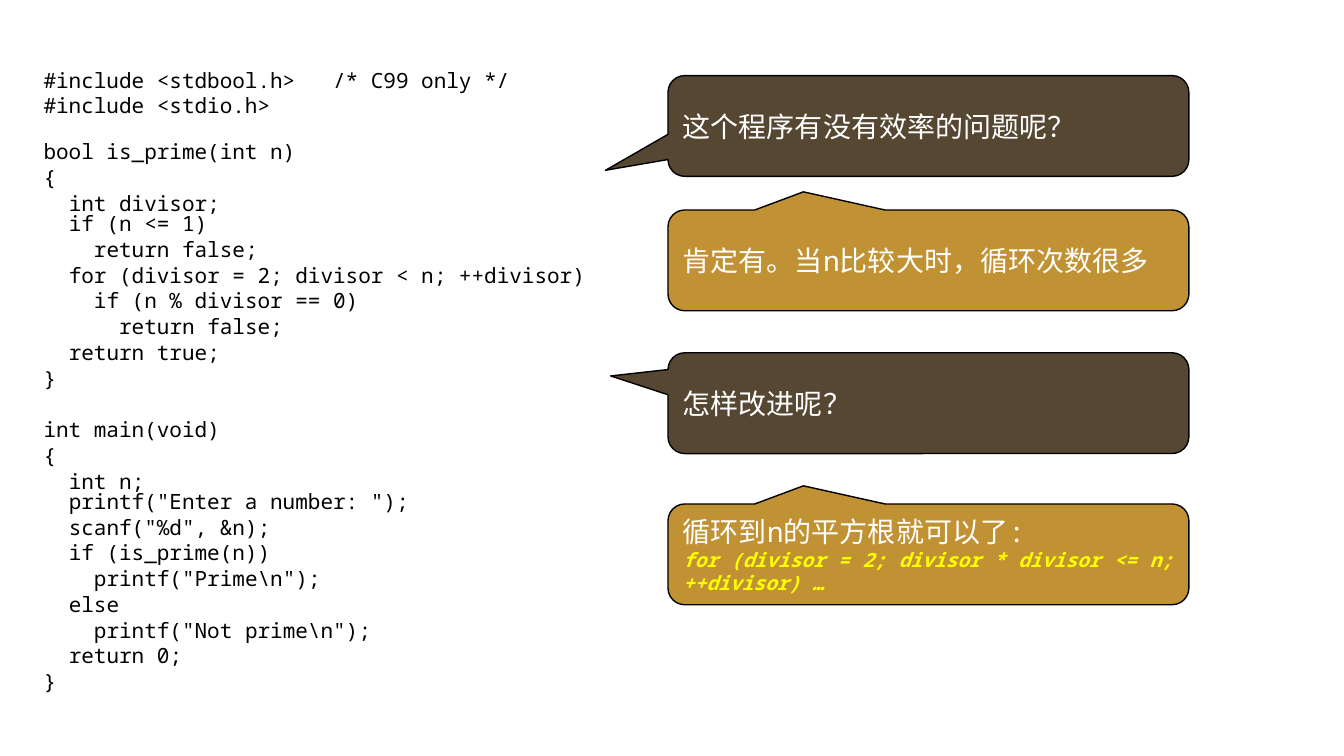
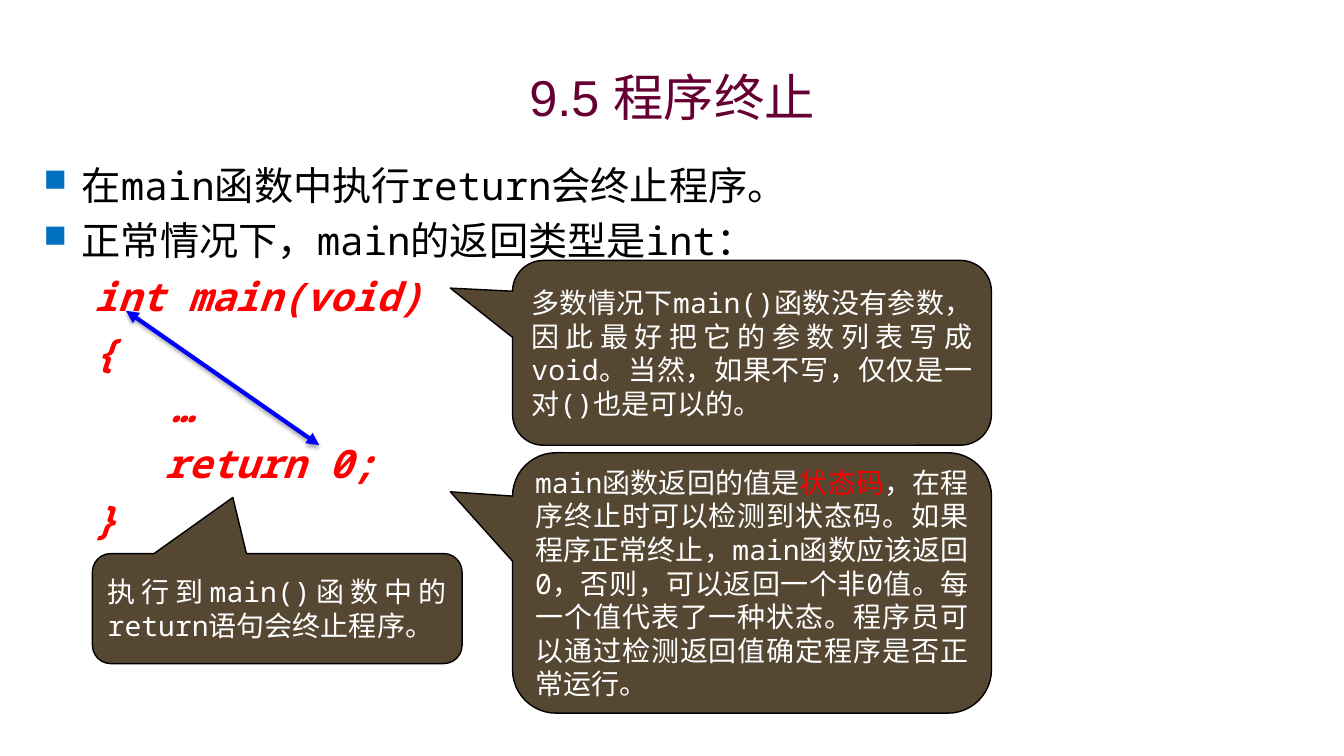
import pptx
import pptx.dml.color
import pptx.enum.lang
import pptx.enum.shapes
import pptx.enum.text
import pptx.oxml
import pptx.oxml.ns
import pptx.util

ALIGN = pptx.enum.text.PP_ALIGN
ANCHOR = pptx.enum.text.MSO_ANCHOR
MONO, SANS = "Noto Sans Mono", "Arial"
BROWN, GOLD = "2C1A00", "B27700"
BLACK, WHITE, RED, YELLOW, BLUE = "000000", "FFFFFF", "FF0000", "FFFF00", "0000FF"
PLUM, BULLET = "660033", "0070C0"


def rgb(value):
    return pptx.dml.color.RGBColor.from_string(value)


def element(markup):
    head, tail = markup.split(" ", 1)
    return pptx.oxml.parse_xml(f"{head} {pptx.oxml.ns.nsdecls('a')} {tail}")


class Lecture:
    """Hold the style and current slide; lengths are cells of a 160 by 90 grid."""

    def __init__(self):
        self.deck = pptx.Presentation()
        self.deck.slide_width = pptx.util.Inches(13.33)
        self.deck.slide_height = pptx.util.Inches(7.5)
        self.slide = None

    def cells(self, *counts):
        return [pptx.util.Inches(count / 12) for count in counts]

    def new_slide(self):
        self.slide = self.deck.slides.add_slide(self.deck.slide_layouts[6])

    def add_text(self, paragraph, text, size, color, font=MONO, strong=False):
        run = paragraph.add_run()
        run.text = text
        run.font.size = pptx.util.Pt(size)
        run.font.name = font
        run.font.color.rgb = rgb(color)
        run.font.bold = run.font.italic = strong
        run.font.language_id = pptx.enum.lang.MSO_LANGUAGE_ID.SIMPLIFIED_CHINESE

    def box(self, *area):
        frame = self.slide.shapes.add_textbox(*self.cells(*area)).text_frame
        frame.word_wrap = True
        return frame

    def next_paragraph(self, frame):
        first = frame.paragraphs[0]
        return frame.add_paragraph() if first.runs else first

    def line(self, frame, text, size, color, margin=0, hang=0, spacing=1.0, before=0, strong=False):
        paragraph = self.next_paragraph(frame)
        paragraph.line_spacing = spacing
        paragraph.space_before = pptx.util.Pt(before)
        properties = paragraph._p.get_or_add_pPr()
        properties.set("marL", str(pptx.util.Inches(margin)))
        properties.set("indent", str(-pptx.util.Inches(hang)))
        self.add_text(paragraph, text, size, color, strong=strong)
        return properties

    def title(self, text):
        frame = self.box(12, 7, 136, 9)
        frame.vertical_anchor = ANCHOR.MIDDLE
        frame.paragraphs[0].alignment = ALIGN.CENTER
        self.add_text(frame.paragraphs[0], text, 36, PLUM, SANS)

    def listing(self, lines):
        frame = self.box(4, 8, 152, 78)
        for depth, before, text in lines:
            self.line(frame, text, 15, BLACK, depth / 4, spacing=0.8, before=before)

    def points(self, bullets, code):
        frame = self.box(4, 18, 152, 68)
        for text in bullets:
            properties = self.line(frame, text, 28, BLACK, 0.38, 0.38, 1.1, 2.8)
            for markup in (
                f'<a:buClr ><a:srgbClr val="{BULLET}"/></a:buClr>',
                '<a:buSzPct val="80000"/>',
                '<a:buChar char="■"/>',
            ):
                properties.append(element(markup))
        for margin, text in code:
            self.line(frame, text, 28, RED, margin, spacing=1.1, before=2.8, strong=True)

    def callout(self, area, tip, fill, *paragraphs):
        kind = pptx.enum.shapes.MSO_SHAPE.ROUNDED_RECTANGULAR_CALLOUT
        bubble = self.slide.shapes.add_shape(kind, *self.cells(*area))
        bubble.shadow.inherit = False
        bubble.adjustments[0], bubble.adjustments[1] = tip
        bubble.fill.solid()
        bubble.fill.fore_color.rgb = rgb(fill)
        solid = bubble._element.spPr.find(pptx.oxml.ns.qn("a:solidFill"))
        solid[0].append(element('<a:alpha val="80000"/>'))
        bubble.line.color.rgb = rgb(BLACK)
        bubble.line.width = pptx.util.Pt(1)
        frame = bubble.text_frame
        frame.word_wrap = True
        frame.vertical_anchor = ANCHOR.MIDDLE
        for runs in paragraphs:
            paragraph = self.next_paragraph(frame)
            paragraph.alignment = ALIGN.JUSTIFY
            for text, size, color, strong in runs:
                self.add_text(paragraph, text, size, color, strong=strong)

    def double_arrow(self, *ends):
        kind = pptx.enum.shapes.MSO_CONNECTOR.STRAIGHT
        arrow = self.slide.shapes.add_connector(kind, *self.cells(*ends))
        arrow.line.color.rgb = rgb(BLUE)
        arrow.line.width = pptx.util.Pt(3)
        outline = arrow.line._get_or_add_ln()
        for end in ("headEnd", "tailEnd"):
            outline.append(element(f'<a:{end} type="triangle"/>'))
        arrow._element.spPr.append(element(
            '<a:effectLst ><a:outerShdw blurRad="39370" dist="22860" dir="5400000" rotWithShape="0">'
            f'<a:srgbClr val="{BLACK}"><a:alpha val="35000"/></a:srgbClr>'
            '</a:outerShdw></a:effectLst>'))


def plain(text, color=WHITE):
    return text, 20, color, False


def prime_slide(lecture):
    lecture.new_slide()
    lecture.listing([
        (0, 0, "#include <stdbool.h>   /* C99 only */"),
        (0, 4, "#include <stdio.h>"),
        (0, 18.4, "bool is_prime(int n)"),
        (0, 4, "{"),
        (1, 4, "int divisor;"),
        (1, 0, "if (n <= 1)"),
        (2, 4, "return false;"),
        (1, 4, "for (divisor = 2; divisor < n; ++divisor)"),
        (2, 4, "if (n % divisor == 0)"),
        (3, 4, "return false;"),
        (1, 4, "return true;"),
        (0, 4, "}"),
        (0, 22.4, "int main(void)"),
        (0, 4, "{"),
        (1, 4, "int n;"),
        (1, 0, 'printf("Enter a number: ");'),
        (1, 4, 'scanf("%d", &n);'),
        (1, 4, "if (is_prime(n))"),
        (2, 4, 'printf("Prime\\n");'),
        (1, 4, "else"),
        (2, 4, 'printf("Not prime\\n");'),
        (1, 4, "return 0;"),
        (0, 4, "}"),
    ])
    improved = ("for (divisor = 2; divisor * divisor <= n; ++divisor) …", 14, YELLOW, True)
    up = (-0.24, -0.68)
    for top, tip, fill, *paragraphs in (
        (9, (-0.62, 0.44), BROWN, [plain("这个程序有没有效率的问题呢？")]),
        (25, up, GOLD, [plain("肯定有。当n比较大时，循环次数很多")]),
        (42, (-0.61, -0.27), BROWN, [plain("怎样改进呢？")]),
        (60, up, GOLD, [plain("循环到n的平方根就可以了:")], [improved]),
    ):
        lecture.callout((79.5, top, 62, 12), tip, fill, *paragraphs)


def termination_slide(lecture):
    lecture.new_slide()
    lecture.title("9.5 程序终止")
    lecture.points(
        ["在main函数中执行return会终止程序。", "正常情况下，main的返回类型是int："],
        [(0.5, "int main(void)"), (0.5, "{"), (1.27, "…"), (1.2, "return 0;"), (0.5, "}")],
    )
    lecture.double_arrow(15, 37, 38, 53)
    left = (-0.63, -0.35)
    lecture.callout((61, 31, 57, 22), left, BROWN, [
        plain("多数情况下main()函数没有参数，因此最好把它的参数列表写成void。当然，如果不写，仅仅是一对()也是可以的。"),
    ])
    lecture.callout((61, 53.9, 57, 31), left, BROWN, [
        plain("main函数返回的值是"),
        plain("状态码", RED),
        plain("，在程序终止时可以检测到状态码。如果程序正常终止，main函数应该返回0，否则，可以返回一个非0值。"
              "每一个值代表了一种状态。程序员可以通过检测返回值确定程序是否正常运行。"),
    ])
    lecture.callout((11, 65.9, 44, 13.1), (-0.12, -1.01), BROWN, [
        plain("执行到main()函数中的return语句会终止程序。"),
    ])


def main():
    lecture = Lecture()
    prime_slide(lecture)
    termination_slide(lecture)
    lecture.deck.save("out.pptx")


if __name__ == "__main__":
    main()
